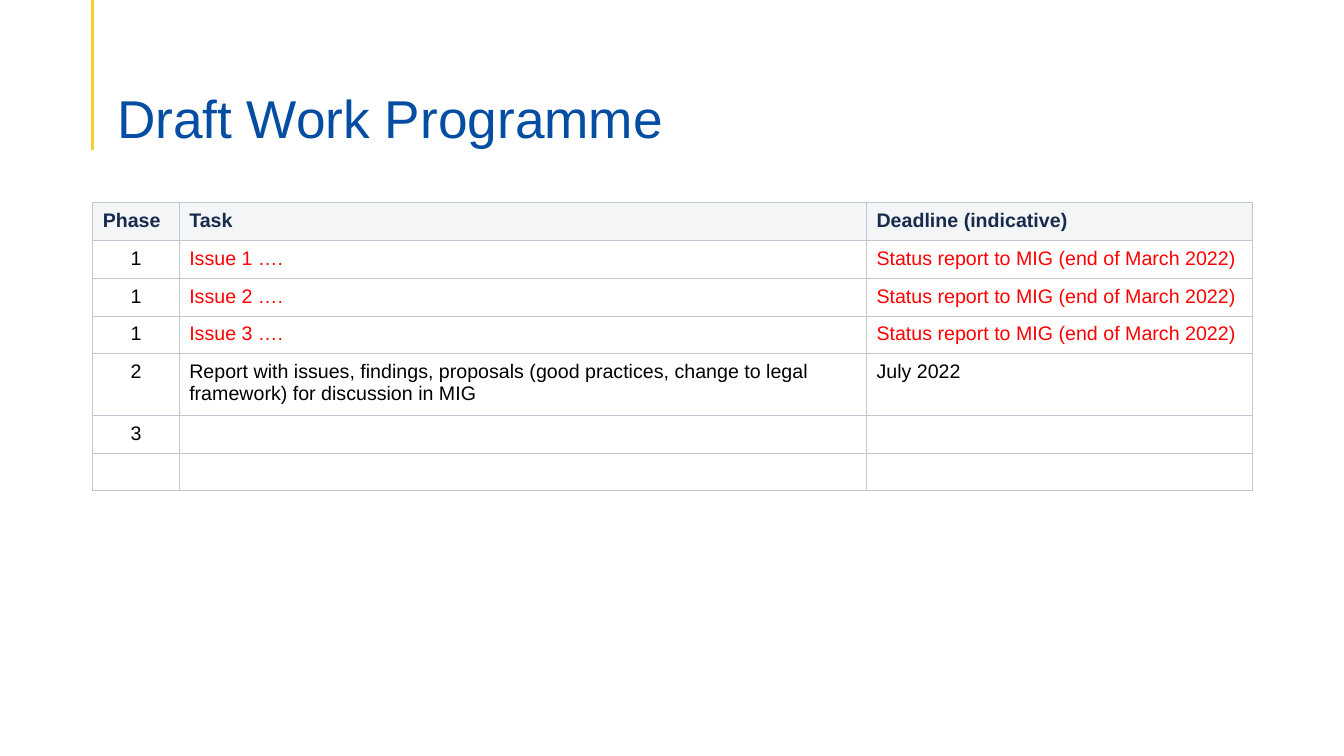
import pptx
import pptx.dml.color
import pptx.enum.shapes
import pptx.enum.text
import pptx.oxml
import pptx.oxml.ns
import pptx.util
from dataclasses import dataclass
from pptx.util import Cm


def rgb(value):
    return pptx.dml.color.RGBColor.from_string(value)


@dataclass(frozen=True)
class Theme:
    font: str = "Arial"
    title_size: int = 38
    table_size: int = 14
    title: str = "034EA2"
    accent: str = "F8CC29"
    heading: str = "172B4D"
    heading_fill: str = "F4F5F7"
    body: str = "000000"
    body_fill: str = "FFFFFF"
    open_issue: str = "FF0000"
    border: str = "C1C7D0"


theme = Theme()
deck = pptx.Presentation()
deck.slide_width, deck.slide_height = Cm(33.87), Cm(19.05)
page = deck.slides.add_slide(deck.slide_layouts[6])
left_edge = Cm(2.34)

# Accent line
accent_line = page.shapes.add_connector(
    pptx.enum.shapes.MSO_CONNECTOR.STRAIGHT, left_edge, 0, left_edge, Cm(3.78))
accent_line.line.color.rgb = rgb(theme.accent)
accent_line.line.width = pptx.util.Pt(2.25)
accent_line._element.spPr.append(pptx.oxml.parse_xml(
    f'<a:effectLst {pptx.oxml.ns.nsdecls("a")}/>'))

# Title
title_box = page.shapes.add_textbox(Cm(2.7), Cm(1.6), Cm(28.5), Cm(2.18))
frame = title_box.text_frame
frame.word_wrap = True
frame.vertical_anchor = pptx.enum.text.MSO_ANCHOR.BOTTOM
frame.margin_bottom = 0
para = frame.paragraphs[0]
para.text = "Draft Work Programme"
para.line_spacing = 0.9
para.font.name = theme.font
para.font.size = pptx.util.Pt(theme.title_size)
para.font.color.rgb = rgb(theme.title)

# Work programme table
status_report = "Status report to MIG (end of March 2022)"
programme = [
    ("Phase", "Task", "Deadline (indicative)"),
    *[("1", f"Issue {number} ….", status_report) for number in (1, 2, 3)],
    ("2", "Report with issues, findings, proposals (good practices, change to "
          "legal framework) for discussion in MIG", "July 2022"),
    ("3", "", ""),
    ("", "", ""),
]
column_widths = [2.18, 17.32, 9.72]
row_heights = [0.93, 0.93, 0.93, 0.93, 1.48, 0.93, 0.93]
table = page.shapes.add_table(
    len(programme), len(column_widths), left_edge, Cm(5.1),
    Cm(sum(column_widths)), Cm(sum(row_heights))).table
for column, width in zip(table.columns, column_widths):
    column.width = Cm(width)
for row, height in zip(table.rows, row_heights):
    row.height = Cm(height)

for row_index, texts in enumerate(programme):
    is_heading = row_index == 0
    is_issue = texts[2] == status_report
    for column_index, text in enumerate(texts):
        cell = table.cell(row_index, column_index)
        cell.margin_left = Cm(0.25)
        cell.margin_right = Cm(0.4 if is_heading else 0.25)
        cell.margin_top = cell.margin_bottom = Cm(0.18)
        cell.fill.solid()
        cell.fill.fore_color.rgb = rgb(
            theme.heading_fill if is_heading else theme.body_fill)

        # Cell text
        if is_heading:
            colour = theme.heading
        elif is_issue and column_index > 0:
            colour = theme.open_issue
        else:
            colour = theme.body
        para = cell.text_frame.paragraphs[0]
        para.text = text
        para.font.name = theme.font
        para.font.size = pptx.util.Pt(theme.table_size)
        para.font.bold = is_heading
        para.font.color.rgb = rgb(colour)
        if column_index == 0 and not is_heading:
            para.alignment = pptx.enum.text.PP_ALIGN.CENTER

        # Cell borders precede the fill in the cell properties
        properties = cell._tc.get_or_add_tcPr()
        for position, side in enumerate(("lnL", "lnR", "lnT", "lnB")):
            properties.insert(position, pptx.oxml.parse_xml(
                f'<a:{side} {pptx.oxml.ns.nsdecls("a")} w="{pptx.util.Pt(0.75)}">'
                f'<a:solidFill><a:srgbClr val="{theme.border}"/></a:solidFill>'
                f'</a:{side}>'))

deck.save("out.pptx")
